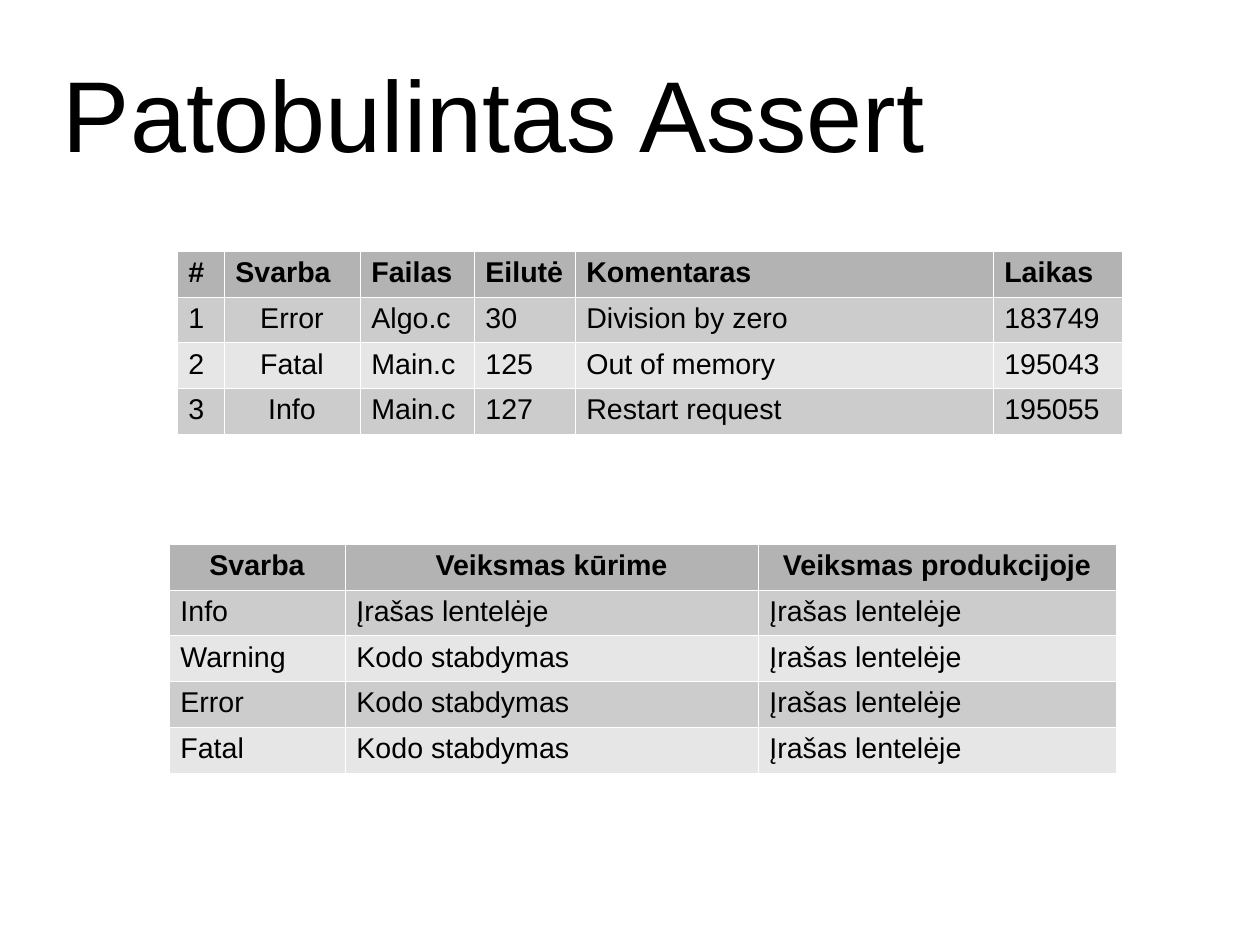
from dataclasses import dataclass

import pptx
import pptx.dml.color
import pptx.enum.text
import pptx.oxml
import pptx.oxml.ns
import pptx.util

PX = 8000  # EMU per px
FONT = "Arial"
COLOURS = {
    "text": "000000",
    "header": "B3B3B3",
    "odd": "CCCCCC",
    "even": "E6E6E6",
    "border": "FFFFFF",
}
ROW_HEIGHT = 44
BORDER_WIDTH = pptx.util.Pt(0.06)
CENTER = pptx.enum.text.PP_ALIGN.CENTER
LEFT = pptx.enum.text.PP_ALIGN.LEFT


@dataclass(frozen=True)
class Grid:
    left: int
    top: int
    column_widths: tuple[int, ...]
    rows: tuple[tuple[str, ...], ...]
    centered_header: bool = False
    centered_columns: tuple[int, ...] = ()

    def alignment(self, row: int, column: int) -> pptx.enum.text.PP_ALIGN:
        centered = self.centered_header if row == 0 else column in self.centered_columns
        return CENTER if centered else LEFT


LOG = Grid(
    177, 251, (47, 136, 114, 101, 418, 129),
    (
        ("#", "Svarba", "Failas", "Eilutė", "Komentaras", "Laikas"),
        ("1", "Error", "Algo.c", "30", "Division by zero", "183749"),
        ("2", "Fatal", "Main.c", "125", "Out of memory", "195043"),
        ("3", "Info", "Main.c", "127", "Restart request", "195055"),
    ),
    centered_columns=(1,),
)
ACTIONS = Grid(
    169, 544, (176, 413, 358),
    (
        ("Svarba", "Veiksmas kūrime", "Veiksmas produkcijoje"),
        ("Info", "Įrašas lentelėje", "Įrašas lentelėje"),
        ("Warning", "Kodo stabdymas", "Įrašas lentelėje"),
        ("Error", "Kodo stabdymas", "Įrašas lentelėje"),
        ("Fatal", "Kodo stabdymas", "Įrašas lentelėje"),
    ),
    centered_header=True,
)


def px(length: int) -> pptx.util.Emu:
    return pptx.util.Emu(length * PX)


def colour(name: str) -> pptx.dml.color.RGBColor:
    return pptx.dml.color.RGBColor.from_string(COLOURS[name])


def add_span(para, text: str, size: float, bold: bool = False) -> None:
    span = para.add_run()
    span.text = text
    span.font.name = FONT
    span.font.size = pptx.util.Pt(size)
    span.font.bold = bold
    span.font.color.rgb = colour("text")


def add_borders(cell) -> None:
    """Put a thin line on all four sides, ahead of the fill in the XML."""
    properties = cell._tc.get_or_add_tcPr()
    for index, side in enumerate(("lnL", "lnR", "lnT", "lnB")):
        properties.insert(index, pptx.oxml.parse_xml(
            f'<a:{side} {pptx.oxml.ns.nsdecls("a")} w="{int(BORDER_WIDTH)}">'
            f'<a:solidFill><a:srgbClr val="{COLOURS["border"]}"/></a:solidFill>'
            f'</a:{side}>'
        ))


def add_title(page, text: str) -> None:
    box = page.shapes.add_textbox(px(63), px(35), px(878), px(155))
    frame = box.text_frame
    frame.word_wrap = True
    frame.vertical_anchor = pptx.enum.text.MSO_ANCHOR.MIDDLE
    frame.margin_left = frame.margin_right = 0
    frame.margin_top = frame.margin_bottom = 0
    add_span(frame.paragraphs[0], text, 63.4)


def add_grid(page, grid: Grid) -> None:
    table = page.shapes.add_table(
        len(grid.rows), len(grid.column_widths),
        px(grid.left), px(grid.top),
        px(sum(grid.column_widths)), px(ROW_HEIGHT * len(grid.rows)),
    ).table
    table.horz_banding = False
    for column, width in zip(table.columns, grid.column_widths):
        column.width = px(width)
    for row, texts in enumerate(grid.rows):
        fill = "header" if row == 0 else "odd" if row % 2 else "even"
        for column, text in enumerate(texts):
            cell = table.cell(row, column)
            cell.fill.solid()
            cell.fill.fore_color.rgb = colour(fill)
            add_borders(cell)
            para = cell.text_frame.paragraphs[0]
            para.alignment = grid.alignment(row, column)
            add_span(para, text, 18, bold=row == 0)


def main() -> None:
    deck = pptx.Presentation()
    deck.slide_width = px(1260)
    deck.slide_height = px(945)
    page = deck.slides.add_slide(deck.slide_layouts[6])
    add_title(page, "Patobulintas Assert")
    for grid in (LOG, ACTIONS):
        add_grid(page, grid)
    deck.save("out.pptx")


if __name__ == "__main__":
    main()
